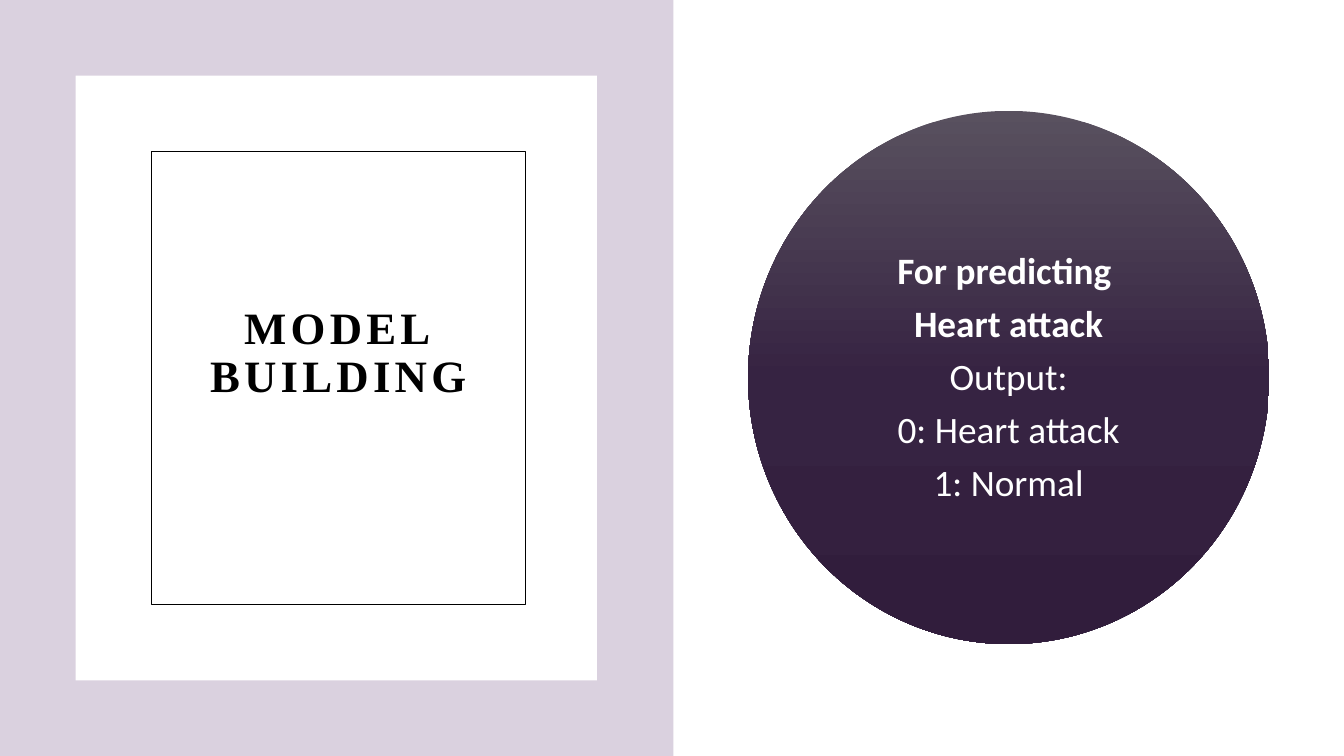
from copy import deepcopy
from pptx import Presentation
from pptx.dml.color import RGBColor as Rgb
from pptx.enum.shapes import MSO_SHAPE as Kind
from pptx.enum.text import MSO_ANCHOR as Anchor, MSO_AUTO_SIZE as Fit, PP_ALIGN as Align
from pptx.oxml.ns import qn
from pptx.oxml.xmlchemy import OxmlElement as Node
from pptx.util import Inches, Pt

HUES = {
    "white": "FFFFFF", "black": "000000", "plum": "6D4883",
    "top": "59515F", "mid": "362342", "low": "311D3C",
}


class Deck:
    def __init__(self):
        self.prs = Presentation()
        self.prs.slide_width = Inches(13.33)
        self.prs.slide_height = Inches(7.5)
        self.slide = self.prs.slides.add_slide(self.prs.slide_layouts[1])
        self.shapes = self.slide.shapes

    def hue(self, name):
        return Rgb.from_string(HUES[name])

    def paint(self, shape, name):
        shape.fill.solid()
        shape.fill.fore_color.rgb = self.hue(name)

    def shape(self, kind, *box):
        item = self.shapes.add_shape(kind, *map(Inches, box))
        item.shadow.inherit = False
        item.line.fill.background()
        return item

    def block(self, name, *box, alpha=None):
        item = self.shape(Kind.RECTANGLE, *box)
        self.paint(item, name)
        if alpha:
            node = Node("a:alpha")
            node.set("val", str(alpha * 1000))
            item.element.spPr.find(".//" + qn("a:srgbClr")).append(node)

    def disc(self, stops, *box):
        item = self.shape(Kind.OVAL, *box)
        item.fill.gradient()
        item.fill.gradient_angle = 270
        marks = item.element.spPr.find(".//" + qn("a:gsLst"))
        while len(marks) < len(stops):
            marks.append(deepcopy(marks[0]))
        for mark, (spot, name) in zip(item.fill.gradient_stops, stops):
            mark.position = spot
            mark.color.rgb = self.hue(name)

    def place(self, holder, box, pads):
        self.shapes.element.append(holder.element)
        holder.left, holder.top, holder.width, holder.height = map(Inches, box)
        frame = holder.text_frame
        frame.word_wrap = True
        frame.auto_size = Fit.NONE
        frame.vertical_anchor = Anchor.MIDDLE
        frame.margin_left = frame.margin_right = frame.margin_top = Inches(pads[0])
        frame.margin_bottom = Inches(pads[1])
        return frame

    def style(self, para, face, size, name, bold):
        para.alignment = Align.CENTER
        para.line_spacing = 0.9
        para.space_before = Pt(0)
        font = para.font
        font.name, font.size, font.bold = face, Pt(size), bold
        font.color.rgb = self.hue(name)

    def title(self, text, *box):
        holder = self.shapes.title
        frame = self.place(holder, box, (0.1, 0.58))
        self.paint(holder, "white")
        holder.line.color.rgb = self.hue("black")
        holder.line.width = Pt(1)
        para = frame.paragraphs[0]
        run = para.add_run()
        run.text = text
        run.font._element.set("spc", "300")
        self.style(para, "Times New Roman", 32, "black", True)

    def body(self, lines, *box):
        frame = self.place(self.slide.placeholders[1], box, (0.03, 0.46))
        frame.text = "\n".join(text for text, _ in lines)
        for para, (_, bold) in zip(frame.paragraphs, lines):
            props = para._p.get_or_add_pPr()
            props.set("marL", "0")
            props.set("indent", "0")
            props.append(Node("a:buNone"))
            self.style(para, "Calibri", 26.6, "white", bold)
            para.space_after = Pt(9)


def main():
    deck = Deck()
    deck.block("plum", 0, 0, 6.68, 7.5, alpha=25)
    deck.block("white", 0.75, 0.75, 5.17, 6)
    deck.title("MODEL BUILDING", 1.5, 1.5, 3.71, 4.5)
    deck.disc([(0, "top"), (0.5, "mid"), (1, "low")], 7.42, 1.1, 5.17, 5.29)
    deck.body([
        ("For predicting ", True),
        ("Heart attack", True),
        ("Output:", False),
        ("0: Heart attack", False),
        ("1: Normal", False),
    ], 7.68, 2.1, 4.65, 3.74)
    deck.prs.save("out.pptx")


if __name__ == "__main__":
    main()
